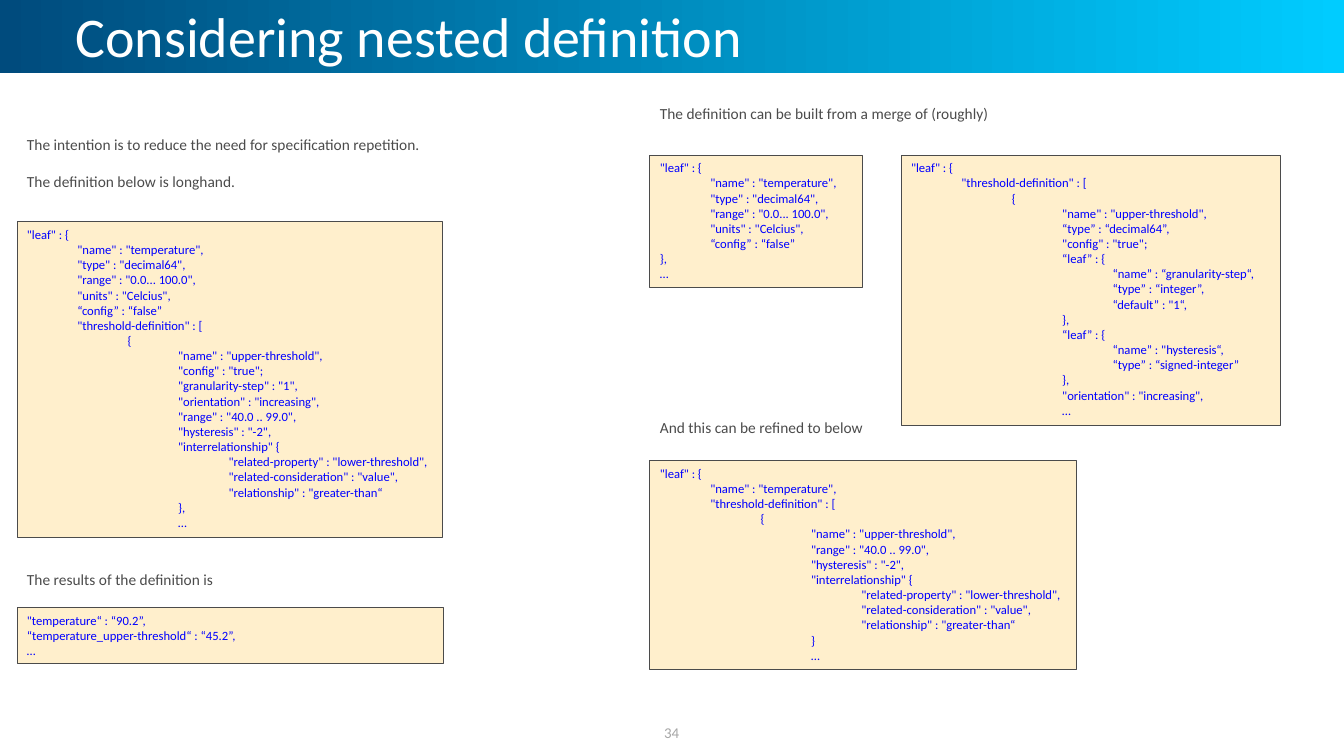
from pptx import Presentation
from pptx.dml.color import RGBColor
from pptx.enum.shapes import MSO_SHAPE
from pptx.enum.text import MSO_ANCHOR, PP_ALIGN
from pptx.util import Cm, Pt

NAVY = RGBColor(0x00, 0x4B, 0x7D)
CYAN = RGBColor(0x00, 0xCC, 0xFF)
WHITE = RGBColor(0xFF, 0xFF, 0xFF)
CREAM = RGBColor(0xFF, 0xEF, 0xCC)
BLUE = RGBColor(0x00, 0x00, 0xFF)
DARK = RGBColor(0x4B, 0x4B, 0x4B)
GREY = RGBColor(0xA6, 0xA6, 0xA6)
FONT = "Calibri"

# Content: four leading spaces in a code line make one indent level
TITLE = "Considering nested definition"
PAGE = "34"

LEAF = '''"leaf" : {
    "name" : "temperature",
    "type" : "decimal64",
    "range" : "0.0... 100.0",
    "units" : "Celcius",
    “config” : “false”
'''
RELATION = '''            "range" : "40.0 .. 99.0",
            "hysteresis" : "-2",
            "interrelationship" {
                "related-property" : "lower-threshold",
                "related-consideration" : "value",
                "relationship" : "greater-than“
'''
LONGHAND = LEAF + '''    "threshold-definition" : [
        {
            "name" : "upper-threshold",
            "config" : "true";
            "granularity-step" : "1",
            "orientation" : "increasing",
''' + RELATION + '''            },
            …'''
RESULT = '''"temperature“ : “90.2”,
“temperature_upper-threshold“ : “45.2”,
…'''
REFINED = '''"leaf" : {
    "name" : "temperature",
    "threshold-definition" : [
        {
            "name" : "upper-threshold",
''' + RELATION + '''            }
            …'''
PLAIN_LEAF = LEAF + '''},
…'''
THRESHOLD = '''"leaf" : {
    "threshold-definition" : [
        {
            "name" : "upper-threshold",
            “type” : “decimal64”,
            "config" : "true";
            “leaf” : {
                “name” : “granularity-step“,
                “type” : “integer”,
                “default” : "1“,
            },
            “leaf” : {
                “name” : "hysteresis“,
                “type” : “signed-integer”
            },
            "orientation" : "increasing",
            …'''

# Positions in cm: left, top, width, height
LEFT, RIGHT = 0.43, 16.38
CODE_BOXES = [
    (LONGHAND, LEFT, 5.59, 10.72, 7.95),
    (RESULT, LEFT, 15.31, 10.74, 1.42),
    (REFINED, RIGHT, 11.61, 10.74, 5.26),
    (PLAIN_LEAF, RIGHT, 3.91, 5.36, 3.33),
    (THRESHOLD, 22.71, 3.91, 9.55, 6.81),
]
CAPTION_W = 12.04
CAPTIONS = [
    (["The intention is to reduce the need for specification repetition.",
      "The definition below is longhand."], LEFT, 3.28, 2.13),
    (["The results of the definition is"], LEFT, 14.25, 1.19),
    (["The definition can be built from a merge of (roughly)"], RIGHT, 2.49, 0.74),
    (["And this can be refined to below"], RIGHT, 10.41, 0.74),
]
INDENT = Cm(1.27)
BAR_H = 1.85


def style(p, size, color, align=PP_ALIGN.LEFT):
    p.alignment = align
    p.font.name, p.font.size = FONT, Pt(size)
    p.font.color.rgb = color


def paragraphs(tf, lines):
    """Yield one paragraph of the frame for each line."""
    tf.word_wrap = True
    for i, line in enumerate(lines):
        p = tf.add_paragraph() if i else tf.paragraphs[0]
        p.text = line.strip()
        yield i, line, p


prs = Presentation()
prs.slide_width, prs.slide_height = Cm(33.87), Cm(19.05)
s = prs.slides.add_slide(prs.slide_layouts[5])

# Title bar, placed behind the title
bar = s.shapes.add_shape(MSO_SHAPE.RECTANGLE, 0, 0, prs.slide_width, Cm(BAR_H))
bar.shadow.inherit = False
bar.line.fill.background()
bar.fill.gradient()
bar.fill.gradient_angle = 0
for stop, color, place in zip(bar.fill.gradient_stops, (NAVY, CYAN), (0, 1)):
    stop.color.rgb, stop.position = color, place

title = s.shapes.title
bar.element.getparent().remove(bar.element)
title.element.addprevious(bar.element)
title.left, title.top, title.width, title.height = Cm(1.65), 0, Cm(31.39), Cm(BAR_H)
title.text_frame.text = TITLE
title.text_frame.vertical_anchor = MSO_ANCHOR.MIDDLE
p = title.text_frame.paragraphs[0]
p.line_spacing = Pt(45.3)
style(p, 40, WHITE)

# Page number
sp = s.shapes.add_textbox(Cm(12.98), Cm(17.96), Cm(7.9), Cm(1.02))
sp.text_frame.vertical_anchor = MSO_ANCHOR.MIDDLE
for _, _, p in paragraphs(sp.text_frame, [PAGE]):
    style(p, 10.7, GREY, PP_ALIGN.CENTER)

# Code boxes
for code, *place in CODE_BOXES:
    sp = s.shapes.add_shape(MSO_SHAPE.RECTANGLE, *map(Cm, place))
    sp.shadow.inherit = False
    sp.fill.solid()
    sp.fill.fore_color.rgb = CREAM
    sp.line.color.rgb, sp.line.width = DARK, Pt(0.75)
    sp.text_frame.vertical_anchor = MSO_ANCHOR.TOP
    for _, line, p in paragraphs(sp.text_frame, code.splitlines()):
        p.level = (len(line) - len(line.lstrip())) // 4
        pPr = p._p.get_or_add_pPr()
        pPr.set("marL", str(p.level * INDENT))
        pPr.set("indent", "0")
        style(p, 9, BLUE)

# Captions
for lines, left, top, height in CAPTIONS:
    sp = s.shapes.add_textbox(Cm(left), Cm(top), Cm(CAPTION_W), Cm(height))
    for i, _, p in paragraphs(sp.text_frame, lines):
        if i:
            p.space_before = Pt(13.2)
        style(p, 11, DARK)

prs.save("out.pptx")
